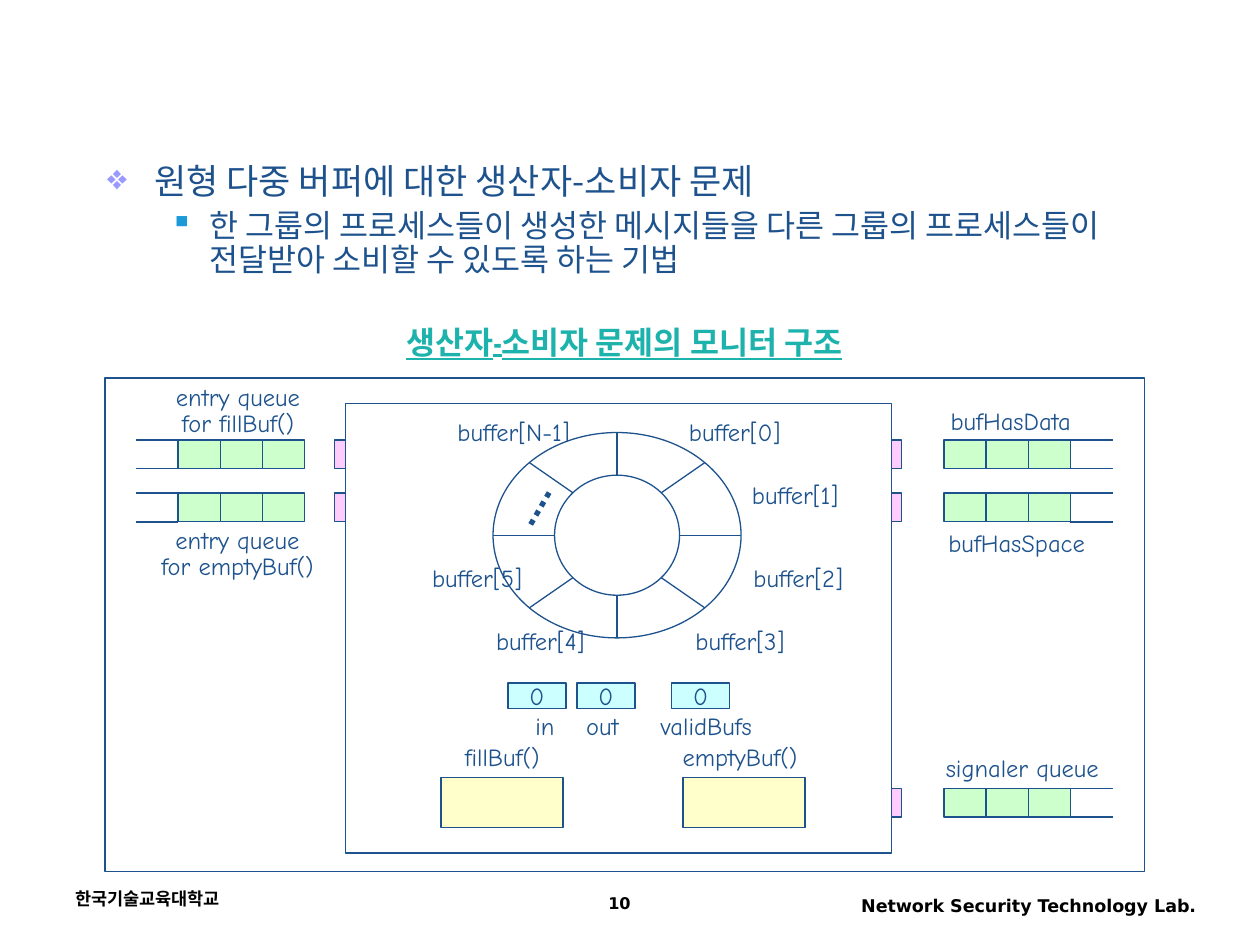
from dataclasses import dataclass
from math import cos, radians, sin
from typing import Any, NamedTuple, Optional

from lxml.etree import SubElement
from pptx import Presentation
from pptx.dml.color import RGBColor
from pptx.enum.dml import MSO_LINE_DASH_STYLE as Dash
from pptx.enum.shapes import MSO_CONNECTOR_TYPE as Connector, MSO_SHAPE as Geometry
from pptx.enum.text import MSO_ANCHOR as Anchor, MSO_AUTO_SIZE as AutoSize, PP_ALIGN as Align
from pptx.oxml.ns import qn
from pptx.util import Cm, Pt

NAVY = RGBColor(0x1D, 0x52, 0x8D)
TEAL = RGBColor(0x1D, 0xB3, 0xAC)
BLACK = RGBColor(0, 0, 0)
WHITE = RGBColor(255, 255, 255)
GREEN = RGBColor(0xCC, 0xFF, 0xCC)
PINK = RGBColor(0xFF, 0xCC, 0xFF)
CYAN = RGBColor(0xCC, 0xFF, 0xFF)
YELLOW = RGBColor(0xFF, 0xFF, 0xCC)
LILAC = RGBColor(0x99, 0x99, 0xFF)
BLUE = RGBColor(0x1B, 0x9A, 0xD9)

KOREAN_FONT = "Noto Sans CJK KR"
LABEL_FONT = {"name": "Comic Neue", "size": Pt(14)}
FOOTER_FONT = {"name": "DejaVu Sans", "size": Pt(10), "bold": True}
PAGE_FONT = FOOTER_FONT | {"size": Pt(9.2)}
HEADING_FONT = {"name": "Arial Narrow", "size": Pt(18), "bold": True, "underline": True}
INSETS = {"margin_left": Cm(0.25), "margin_right": Cm(0.25),
          "margin_top": Cm(0.13), "margin_bottom": Cm(0.13)}
FITTED = INSETS | {"word_wrap": False, "auto_size": AutoSize.SHAPE_TO_FIT_TEXT}
WRAPPED = INSETS | {"word_wrap": True}
CENTERED = INSETS | {"word_wrap": False, "vertical_anchor": Anchor.MIDDLE}

CELL_WIDTH, QUEUE_HEIGHT, GATE_WIDTH = 0.85, 0.58, 0.21
ROW_TOPS = (8.87, 9.94, 15.89)
MONITOR_LEFT, MONITOR_WIDTH = 6.96, 11.01


class Box(NamedTuple):
    left: float
    top: float
    width: float
    height: float


@dataclass
class Label:
    text: str
    left: float
    top: float
    width: float
    alignment: Align = Align.CENTER


@dataclass
class Queue:
    left: float
    top: float
    tail_left: float
    gate_left: float


@dataclass
class Footer:
    text: str
    box: Box
    alignment: Align
    font: dict[str, Any]


@dataclass
class Bullet:
    text: str
    symbol: str
    color: RGBColor
    level: int
    margin: float
    hanging: float
    size: float
    space_before: float


BACK_LABELS = [
    Label("buffer[1]", 14.91, 9.55, 2.26, Align.LEFT),
    Label("buffer[2]", 14.94, 11.23, 2.31, Align.LEFT),
    Label("buffer[N-1]", 8.97, 8.28, 2.77),
    Label("buffer[3]", 13.77, 12.5, 2.31, Align.LEFT),
]
FRONT_LABELS = [
    Label("buffer[4]", 9.75, 12.5, 2.29, Align.LEFT),
    Label("buffer[5]", 8.46, 11.23, 2.34, Align.LEFT),
    Label("buffer[0]", 13.64, 8.28, 2.36, Align.LEFT),
    Label("fillBuf()", 9.12, 14.83, 2.01),
    Label("emptyBuf()", 13.51, 14.83, 2.82),
    Label("entry queue\nfor fillBuf()", 3.2, 7.63, 3.2),
    Label("entry queue\nfor emptyBuf()", 2.9, 10.52, 3.78),
    Label("bufHasData", 18.8, 8.05, 3.15),
    Label("bufHasSpace", 18.77, 10.52, 3.45),
    Label("signaler queue", 18.72, 15.06, 3.78),
    Label("in", 10.54, 14.2, 0.89),
    Label("out", 11.56, 14.2, 1.17),
    Label("validBufs", 13.06, 14.2, 2.36),
]
QUEUES = [Queue(3.59, top, 2.74, MONITOR_LEFT - GATE_WIDTH) for top in ROW_TOPS[:2]]
QUEUES += [Queue(19.03, top, 21.58, MONITOR_LEFT + MONITOR_WIDTH) for top in ROW_TOPS]
FOOTERS = [
    Footer("한국기술교육대학교", Box(1.27, 17.78, 5.92, 0.84), Align.LEFT, FOOTER_FONT),
    Footer("Network Security Technology Lab.", Box(16.31, 17.91, 8.05, 0.81), Align.RIGHT, FOOTER_FONT),
    Footer("10", Box(9.53, 17.88, 5.92, 0.71), Align.CENTER, PAGE_FONT),
]
BULLETS = [
    Bullet("원형 다중 버퍼에 대한 생산자-소비자 문제", "❖", LILAC, 0, 0.95, 0.95, 20, 0),
    Bullet("한 그룹의 프로세스들이 생성한 메시지들을 다른 그룹의 프로세스들이 전달받아 소비할 수 있도록 하는 기법",
           "▪", BLUE, 1, 2.06, 0.79, 18, 4.5),
]


def set_values(target: Any, values: dict[str, Any]) -> None:
    for name, value in values.items():
        setattr(target, name, value)


def add_run(paragraph: Any, text: str, font: dict[str, Any], color: RGBColor) -> None:
    run = paragraph.add_run()
    run.text = text
    set_values(run.font, font)
    run.font.color.rgb = color
    SubElement(run.font._element, qn("a:ea")).set("typeface", KOREAN_FONT)


def write_lines(shape: Any, text: str, font: dict[str, Any], color: RGBColor,
                frame_format: dict[str, Any], alignment: Align) -> None:
    frame = shape.text_frame
    set_values(frame, frame_format)
    lines = text.split("\n")
    for index, line in enumerate(lines):
        paragraph = frame.add_paragraph() if index else frame.paragraphs[0]
        paragraph.alignment = alignment
        if len(lines) > 1:
            paragraph.line_spacing = 0.9
        add_run(paragraph, line, font, color)


def add_textbox(slide: Any, box: Box) -> Any:
    return slide.shapes.add_textbox(*map(Cm, box))


def add_outlined(slide: Any, box: Box, fill: Optional[RGBColor], geometry: Geometry = Geometry.RECTANGLE) -> Any:
    shape = slide.shapes.add_shape(geometry, *map(Cm, box))
    shape.shadow.inherit = False
    if fill is None:
        shape.fill.background()
        shape.line.fill.background()
        return shape
    shape.fill.solid()
    shape.fill.fore_color.rgb = fill
    shape.line.color.rgb = NAVY
    shape.line.width = Pt(0.75)
    return shape


def add_line(slide: Any, start: tuple[float, float], end: tuple[float, float], width: float = 0.75) -> Any:
    line = slide.shapes.add_connector(Connector.STRAIGHT, *map(Cm, (*start, *end)))
    line.line.color.rgb = NAVY
    line.line.width = Pt(width)
    SubElement(line._element.spPr, qn("a:effectLst"))
    return line


def add_label(slide: Any, label: Label) -> None:
    height = 1.33 if "\n" in label.text else 0.86
    textbox = add_textbox(slide, Box(label.left, label.top, label.width, height))
    write_lines(textbox, label.text, LABEL_FONT, NAVY, FITTED, label.alignment)


def add_queue(slide: Any, queue: Queue) -> None:
    for index in range(3):
        add_outlined(slide, Box(queue.left + index * CELL_WIDTH, queue.top, CELL_WIDTH, QUEUE_HEIGHT), GREEN)
    for y in (queue.top, queue.top + QUEUE_HEIGHT):
        add_line(slide, (queue.tail_left, y), (queue.tail_left + CELL_WIDTH, y))
    add_outlined(slide, Box(queue.gate_left, queue.top, GATE_WIDTH, QUEUE_HEIGHT), PINK)


def add_ring(slide: Any) -> None:
    center_x, center_y = 12.44, 10.79
    radii = ((2.5, 2.07), (1.26, 1.21))
    for radius_x, radius_y in radii:
        box = Box(center_x - radius_x, center_y - radius_y, 2 * radius_x, 2 * radius_y)
        add_outlined(slide, box, WHITE, Geometry.OVAL)
    for angle in map(radians, range(0, 360, 45)):
        outer, inner = ((center_x + x * cos(angle), center_y + y * sin(angle)) for x, y in radii)
        add_line(slide, inner, outer)
    add_line(slide, (11.07, 9.93), (10.67, 10.62), 3).line.dash_style = Dash.ROUND_DOT


def add_bullets(slide: Any) -> None:
    frame = add_textbox(slide, Box(1.91, 3.18, 21.59, 2.74)).text_frame
    set_values(frame, WRAPPED)
    for index, bullet in enumerate(BULLETS):
        paragraph = frame.add_paragraph() if index else frame.paragraphs[0]
        set_values(paragraph, {"level": bullet.level, "line_spacing": 0.9,
                               "space_before": Pt(bullet.space_before)})
        properties = paragraph._p.get_or_add_pPr()
        properties.set("marL", str(Cm(bullet.margin)))
        properties.set("indent", str(-Cm(bullet.hanging)))
        SubElement(SubElement(properties, qn("a:buClr")), qn("a:srgbClr")).set("val", str(bullet.color))
        SubElement(properties, qn("a:buChar")).set("char", bullet.symbol)
        add_run(paragraph, bullet.text, {"name": KOREAN_FONT, "size": Pt(bullet.size)}, NAVY)


def main() -> None:
    presentation = Presentation()
    set_values(presentation, {"slide_width": Cm(25.4), "slide_height": Cm(19.05)})
    slide = presentation.slides.add_slide(presentation.slide_layouts[6])
    for footer in FOOTERS:
        write_lines(add_textbox(slide, footer.box), footer.text, footer.font, BLACK, WRAPPED, footer.alignment)
    add_bullets(slide)
    heading = add_outlined(slide, Box(7.82, 6.35, 9.53, 1.07), None, Geometry.FLOWCHART_ALTERNATE_PROCESS)
    write_lines(heading, "생산자-소비자 문제의 모니터 구조", HEADING_FONT, TEAL, CENTERED, Align.CENTER)
    add_outlined(slide, Box(2.12, 7.62, 20.96, 9.95), WHITE)
    add_outlined(slide, Box(MONITOR_LEFT, 8.13, MONITOR_WIDTH, 9.07), WHITE)
    for label in BACK_LABELS:
        add_label(slide, label)
    add_ring(slide)
    for left in (8.89, 13.77):
        add_outlined(slide, Box(left, 15.67, 2.46, 1.02), YELLOW)
    for queue in QUEUES:
        add_queue(slide, queue)
    for label in FRONT_LABELS:
        add_label(slide, label)
    for left in (10.24, 11.63, 13.54):
        counter = add_outlined(slide, Box(left, 13.77, 1.17, 0.51), CYAN)
        write_lines(counter, "0", LABEL_FONT, NAVY, CENTERED, Align.CENTER)
    presentation.save("out.pptx")


if __name__ == "__main__":
    main()
